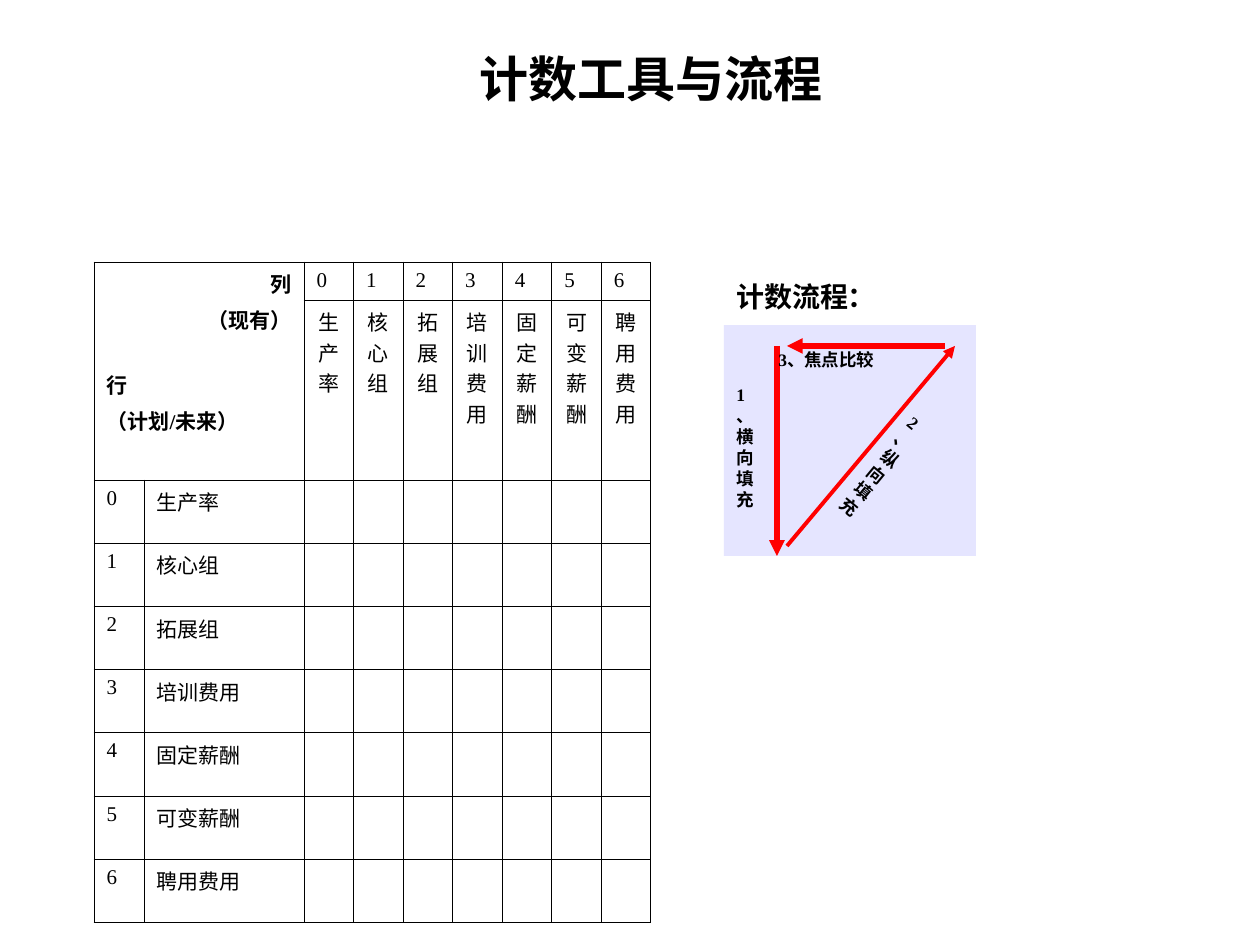
"""Build the slide on counting tools and process: a matrix and a flow diagram."""
from dataclasses import dataclass

from lxml.etree import SubElement
from pptx import Presentation
from pptx.dml.color import RGBColor as Rgb
from pptx.enum.shapes import MSO_CONNECTOR as Link, MSO_SHAPE as Preset
from pptx.enum.text import MSO_ANCHOR as Anchor, MSO_AUTO_SIZE as Fit, PP_ALIGN as Align
from pptx.oxml.ns import qn
from pptx.util import Pt

PX = 914400 / 126
GROUPS = ["生产率", "核心组", "拓展组", "培训费用", "固定薪酬", "可变薪酬", "聘用费用"]
CORNER = [
    ("列", Align.RIGHT, 0),
    ("（现有）", Align.RIGHT, 3),
    ("行", Align.LEFT, 20),
    ("（计划/未来）", Align.LEFT, 3),
]


@dataclass(frozen=True)
class Theme:
    ink: Rgb = Rgb(0, 0, 0)
    panel: Rgb = Rgb(0xCC, 0xCC, 0xFF)
    arrow: Rgb = Rgb(0xFF, 0, 0)
    sans: str = "Noto Sans CJK SC"
    serif: str = "Times New Roman"
    title: int = 28
    heading: int = 16
    cell: int = 12
    step: int = 10
    border: float = 0.45


THEME = Theme()


def px(length):
    return round(length * PX)


def write(para, text, size, face, bold=False, align=Align.LEFT, before=0):
    para.alignment = align
    para.space_before = Pt(before)
    span = para.add_run()
    span.text = text
    font = span.font
    font.size, font.bold, font.name = Pt(size), bold, face
    font.color.rgb = THEME.ink
    SubElement(font._element, qn("a:ea"), typeface=THEME.sans)


def place(shape, left, top, width, height):
    shape.left, shape.top, shape.width, shape.height = map(px, (left, top, width, height))


def add_title(page, text):
    title = page.shapes.title
    place(title, 168, 42, 966, 72)
    frame = title.text_frame
    frame.auto_size, frame.vertical_anchor = Fit.NONE, Anchor.MIDDLE
    write(frame.paragraphs[0], text, THEME.title, THEME.sans, True, Align.CENTER)


def add_label(parent, text, area, size, face, anchor=Anchor.TOP, turn=0, pitch=None):
    box = parent.shapes.add_textbox(*map(px, area))
    box.rotation = turn
    frame = box.text_frame
    frame.word_wrap, frame.vertical_anchor = True, anchor
    para = frame.paragraphs[0]
    if pitch:
        para.line_spacing = Pt(pitch)
    write(para, text, size, face, True)


def add_panel(parent, area):
    panel = parent.shapes.add_shape(Preset.RECTANGLE, *map(px, area))
    panel.shadow.inherit = False
    panel.line.fill.background()
    panel.fill.solid()
    panel.fill.fore_color.rgb = THEME.panel
    color = panel.fill._xPr.find(".//" + qn("a:srgbClr"))
    SubElement(color, qn("a:alpha"), val="50000")


def add_arrow(parent, start, end, weight):
    arrow = parent.shapes.add_connector(Link.STRAIGHT, *map(px, start + end))
    arrow.line.color.rgb = THEME.arrow
    arrow.line.width = Pt(weight)
    SubElement(arrow.line._get_or_add_ln(), qn("a:tailEnd"), type="triangle")
    SubElement(arrow._element.spPr, qn("a:effectLst"))


def frame_cell(cell):
    props = cell._tc.get_or_add_tcPr()
    for side in ("lnL", "lnR", "lnT", "lnB"):
        line = SubElement(props, qn(f"a:{side}"), w=str(Pt(THEME.border)))
        fill = SubElement(line, qn("a:solidFill"))
        SubElement(fill, qn("a:srgbClr"), val=str(THEME.ink))
    cell.fill.background()


def fill_cell(cell, text, align=Align.LEFT):
    write(cell.text_frame.paragraphs[0], text, THEME.cell, THEME.serif, align=align)


def add_matrix(page):
    count = len(GROUPS)
    widths = [px(50), px(160)] + [px(347) // count] * count
    heights = [px(38), px(160)] + [px(63.2)] * count
    table = page.shapes.add_table(
        len(heights), len(widths), px(94), px(262), sum(widths), sum(heights)).table
    table.first_row = table.horz_banding = False
    for column, width in zip(table.columns, widths):
        column.width = width
    for row, height in zip(table.rows, heights):
        row.height = height
    for cell in table.iter_cells():
        frame_cell(cell)
    corner = table.cell(0, 0)
    corner.merge(table.cell(1, 1))
    frame = corner.text_frame
    for index, (text, align, before) in enumerate(CORNER):
        para = frame.add_paragraph() if index else frame.paragraphs[0]
        write(para, text, THEME.cell, THEME.serif, True, align, before)
    for index, name in enumerate(GROUPS):
        fill_cell(table.cell(0, index + 2), str(index))
        fill_cell(table.cell(1, index + 2), name, Align.CENTER)
        fill_cell(table.cell(index + 2, 0), str(index))
        fill_cell(table.cell(index + 2, 1), name)


def add_flow(page):
    flow = page.shapes.add_group_shape()
    add_label(flow, "计数流程：", (724, 273, 210, 47), THEME.heading, THEME.sans, Anchor.MIDDLE)
    add_panel(flow, (724, 325, 252, 231))
    add_arrow(flow, (777, 346), (777, 556), 3)
    add_arrow(flow, (787, 546), (955, 346), 2.25)
    add_arrow(flow, (945, 346), (787, 346), 3)
    steps = [
        ("1、横向填充", (724, 378, 50, 118), 0),
        ("2、纵向填充", (868, 402, 50, 118), 39.5),
        ("3、焦点比较", (766, 343, 199, 34), 0),
    ]
    for text, area, turn in steps:
        add_label(flow, text, area, THEME.step, THEME.serif, turn=turn, pitch=12)


def main():
    deck = Presentation()
    deck.slide_width, deck.slide_height = px(1260), px(945)
    page = deck.slides.add_slide(deck.slide_layouts[5])
    add_title(page, "计数工具与流程")
    add_matrix(page)
    add_flow(page)
    deck.save("out.pptx")


if __name__ == "__main__":
    main()
